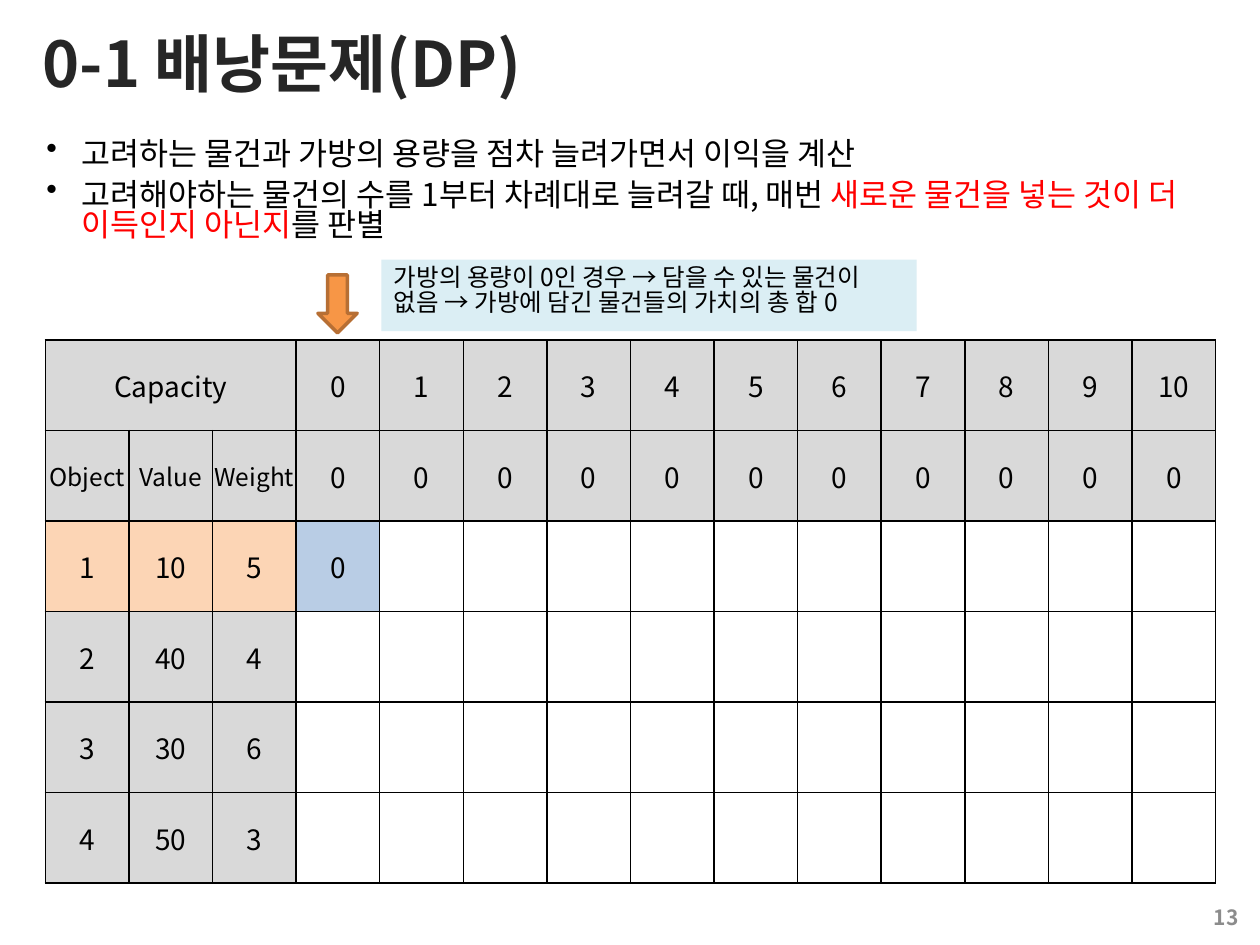
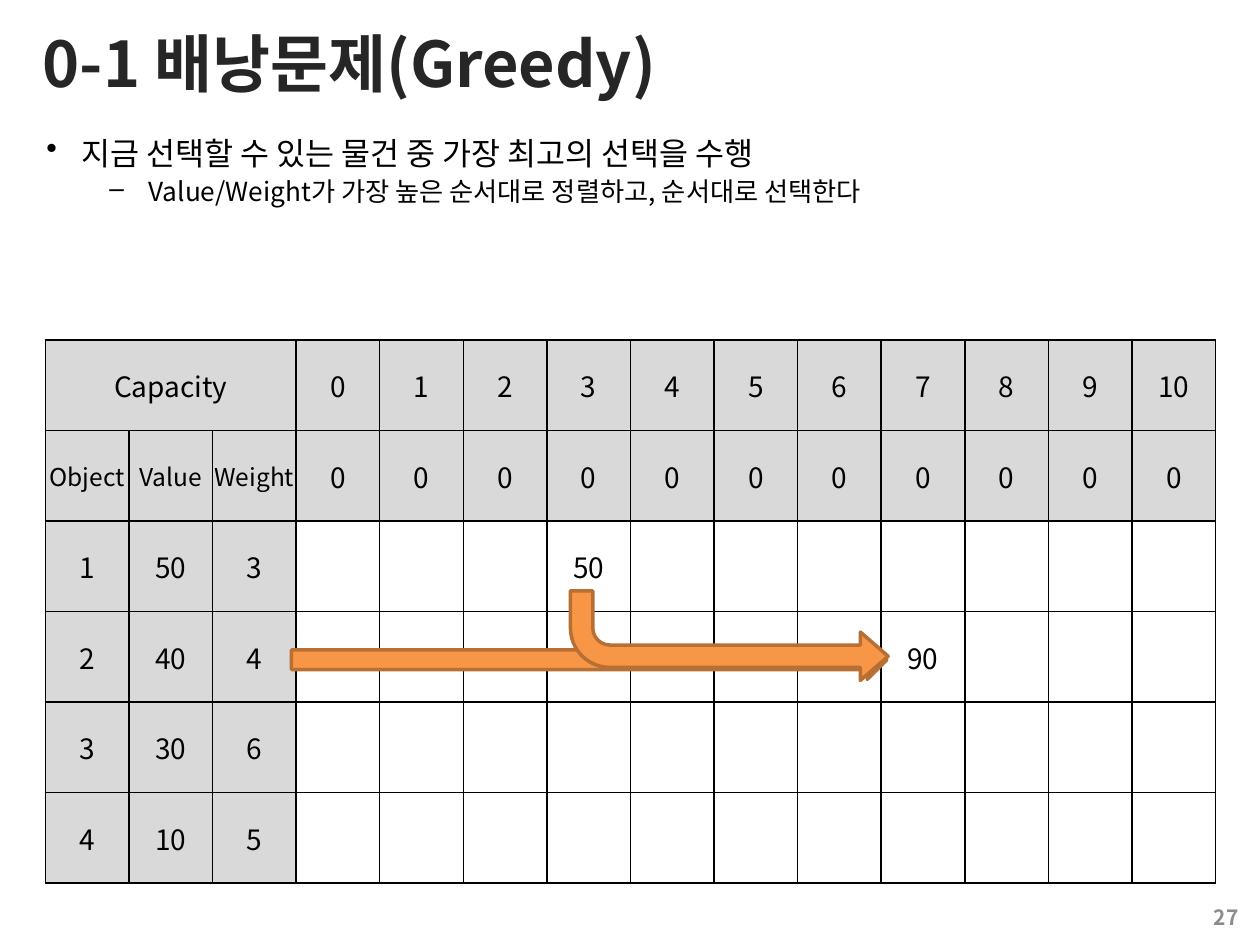
from dataclasses import dataclass

from lxml import etree
from pptx import Presentation
from pptx import util as u
from pptx.dml.color import RGBColor
from pptx.enum import shapes, text
from pptx.oxml import ns

FONT = "Noto Sans CJK KR"
COLORS = {
    "title": "262626", "text": "000000", "accent": "FF0000", "page": "8C8C8C",
    "grid": "000000", "header": "D9D9D9", "current": "FCD5B5", "result": "B9CDE5",
    "arrow": "F79646", "arrow_edge": "B76F34", "callout": "DBEEF4",
}
BULLETS = [  # character, size, left margin, hanging indent
    ("•", 18, 0.28, -0.28),
    ("–", 15, 0.81, -0.31),
]
COLUMNS, ROWS, ITEM_COLUMNS, HEADER_ROWS = 14, 6, 3, 2


@dataclass
class Box:
    left: float
    top: float
    width: float
    height: float

    def area(self, left, top, width, height, columns=100, rows=100):
        """Return the box at a place counted in columns and rows of this one."""
        column, row = self.width / columns, self.height / rows
        return Box(self.left + left * column, self.top + top * row,
                   width * column, height * row)

    def emu(self):
        return [u.Inches(v) for v in (self.left, self.top, self.width, self.height)]


SLIDE = Box(0, 0, 10, 7.5)
TITLE = SLIDE.area(2.4, 0.13, 95.1, 12.93)
BODY = SLIDE.area(2.7, 14.27, 94.6, 81.2)
PAGE = SLIDE.area(76, 94.4, 23.3, 5.33)
TABLE = SLIDE.area(3.6, 36, 92.9, 57.47)


def on_table(left, top, width, height):
    return TABLE.area(left, top, width, height, COLUMNS, ROWS)


def rgb(name):
    return RGBColor.from_string(COLORS[name])


def write(paragraph, content, size=16, color="text", bold=False, align=None, spacing=None):
    """Add a run in the given format to a paragraph."""
    if align is not None:
        paragraph.alignment = align
    if spacing:
        paragraph.line_spacing = spacing
    run = paragraph.add_run()
    run.text = content
    font = run.font
    font.name, font.size, font.bold = FONT, u.Pt(size), bold
    font.color.rgb = rgb(color)
    east_asian = etree.SubElement(run._r.get_or_add_rPr(), ns.qn("a:ea"))
    east_asian.set("typeface", FONT)


def text_frame(slide, box, anchor=text.MSO_ANCHOR.TOP):
    frame = slide.shapes.add_textbox(*box.emu()).text_frame
    frame.word_wrap = True
    frame.vertical_anchor = anchor
    return frame


def add_bullets(slide, box, points):
    """Write points, each a level followed by (words, colour) pairs."""
    frame = text_frame(slide, box)
    for number, (level, *pieces) in enumerate(points):
        paragraph = frame.add_paragraph() if number else frame.paragraphs[0]
        mark, size, margin, indent = BULLETS[level]
        properties = paragraph._p.get_or_add_pPr()
        properties.set("marL", str(u.Inches(margin)))
        properties.set("indent", str(u.Inches(indent)))
        etree.SubElement(properties, ns.qn("a:buChar")).set("char", mark)
        paragraph.level = level
        paragraph.space_after = u.Pt(3)
        if number:
            paragraph.space_before = u.Pt(3)
        for words, color in pieces:
            write(paragraph, words, size=size, color=color, spacing=0.8)


def add_frame(prs, title, page, points):
    """Start a slide with its title, bullets and page number."""
    slide = prs.slides.add_slide(prs.slide_layouts[6])
    middle = text.MSO_ANCHOR.MIDDLE
    write(text_frame(slide, TITLE, middle).paragraphs[0], title,
          size=36, color="title", bold=True)
    add_bullets(slide, BODY, points)
    write(text_frame(slide, PAGE, middle).paragraphs[0], str(page),
          size=12, color="page", bold=True, align=text.PP_ALIGN.RIGHT)
    return slide


def set_borders(cell):
    properties = cell._tc.get_or_add_tcPr()
    for place, side in enumerate(("lnL", "lnR", "lnT", "lnB")):
        line = etree.Element(ns.qn(f"a:{side}"), w=str(u.Pt(1)))
        fill = etree.SubElement(line, ns.qn("a:solidFill"))
        etree.SubElement(fill, ns.qn("a:srgbClr")).set("val", COLORS["grid"])
        properties.insert(place, line)


def format_cell(cell, content, size, fill):
    cell.margin_left = cell.margin_right = cell.margin_top = cell.margin_bottom = 0
    cell.vertical_anchor = text.MSO_ANCHOR.MIDDLE
    if fill:
        cell.fill.solid()
        cell.fill.fore_color.rgb = rgb(fill)
    else:
        cell.fill.background()
    set_borders(cell)
    if content != "":
        write(cell.text_frame.paragraphs[0], str(content), size=size,
              align=text.PP_ALIGN.CENTER)


def add_knapsack_table(slide, box, items, results, highlights=None):
    """Draw items as (value, weight); results and highlights are keyed by (row, column)."""
    highlights = highlights or {}
    table = slide.shapes.add_table(ROWS, COLUMNS, *box.emu()).table
    table.first_row = table.horz_banding = False
    for column in table.columns:
        column.width = u.Inches(box.width / COLUMNS)
    for row in table.rows:
        row.height = u.Inches(box.height / ROWS)

    capacities = range(COLUMNS - ITEM_COLUMNS)
    contents = [["Capacity", "", "", *capacities],
                ["Object", "Value", "Weight", *(0 for _ in capacities)]]
    contents += [[number, *item, *("" for _ in capacities)]
                 for number, item in enumerate(items, 1)]
    for (r, c), result in results.items():
        contents[r][c] = result

    for r, row in enumerate(contents):
        for c, content in enumerate(row):
            is_header = r < HEADER_ROWS or c < ITEM_COLUMNS
            fill = highlights.get((r, c), "header" if is_header else None)
            size = 14 if r == 1 and c < ITEM_COLUMNS else 16
            format_cell(table.cell(r, c), content, size, fill)
    table.cell(0, 0).merge(table.cell(0, ITEM_COLUMNS - 1))


def add_filled(slide, kind, box, fill, edge=None):
    shape = slide.shapes.add_shape(kind, *box.emu())
    shape.shadow.inherit = False
    shape.fill.solid()
    shape.fill.fore_color.rgb = rgb(fill)
    if edge:
        shape.line.color.rgb = rgb(edge)
        shape.line.width = u.Pt(2)
    else:
        shape.line.fill.background()
    return shape


def add_arrow(slide, kind, box):
    return add_filled(slide, kind, box, "arrow", "arrow_edge")


def add_callout(slide, box, words):
    frame = add_filled(slide, shapes.MSO_SHAPE.RECTANGLE, box, "callout").text_frame
    frame.word_wrap = True
    frame.vertical_anchor = text.MSO_ANCHOR.TOP
    write(frame.paragraphs[0], words, size=14, align=text.PP_ALIGN.LEFT, spacing=0.87)


def add_dp_slide(prs):
    slide = add_frame(prs, "0-1 배낭문제(DP)", 13, [
        (0, ("고려하는 물건과 가방의 용량을 점차 늘려가면서 이익을 계산", "text")),
        (0, ("고려해야하는 물건의 수를 1부터 차례대로 늘려갈 때, 매번 ", "text"),
         ("새로운 물건을 넣는 것이 더 이득인지 아닌지", "accent"),
         ("를 판별", "text")),
    ])
    first_item = {(2, c): "current" for c in range(ITEM_COLUMNS)}
    add_knapsack_table(slide, TABLE, [(10, 5), (40, 4), (30, 6), (50, 3)],
                       results={(2, 3): 0},
                       highlights={**first_item, (2, 3): "result"})
    add_arrow(slide, shapes.MSO_SHAPE.DOWN_ARROW, on_table(3.26, -0.72, 0.47, 0.64))
    add_callout(slide, on_table(4.02, -0.89, 6.4, 0.79),
                "가방의 용량이 0인 경우 → 담을 수 있는 물건이 없음 → "
                "가방에 담긴 물건들의 가치의 총 합 0")


def add_greedy_slide(prs):
    slide = add_frame(prs, "0-1 배낭문제(Greedy)", 27, [
        (0, ("지금 선택할 수 있는 물건 중 가장 최고의 선택을 수행", "text")),
        (1, ("Value/Weight가 가장 높은 순서대로 정렬하고, 순서대로 선택한다", "text")),
    ])
    add_knapsack_table(slide, TABLE, [(50, 3), (40, 4), (30, 6), (10, 5)],
                       results={(2, 6): 50, (3, 10): 90})
    weight_arrow = add_arrow(slide, shapes.MSO_SHAPE.DOWN_ARROW,
                             on_table(6.27, 0.24, 0.47, 6.58))
    weight_arrow.rotation = 270
    sum_arrow = add_arrow(slide, shapes.MSO_SHAPE.BENT_ARROW,
                          on_table(6.28, 2.77, 3.8, 0.99))
    for number, share in enumerate((0.25, 0.27, 0.31, 0.44)):
        sum_arrow.adjustments[number] = share
    sum_arrow._element.spPr.find(ns.qn("a:xfrm")).set("flipV", "1")


def main():
    prs = Presentation()
    prs.slide_width, prs.slide_height = u.Inches(SLIDE.width), u.Inches(SLIDE.height)
    add_dp_slide(prs)
    add_greedy_slide(prs)
    prs.save("out.pptx")


if __name__ == "__main__":
    main()
